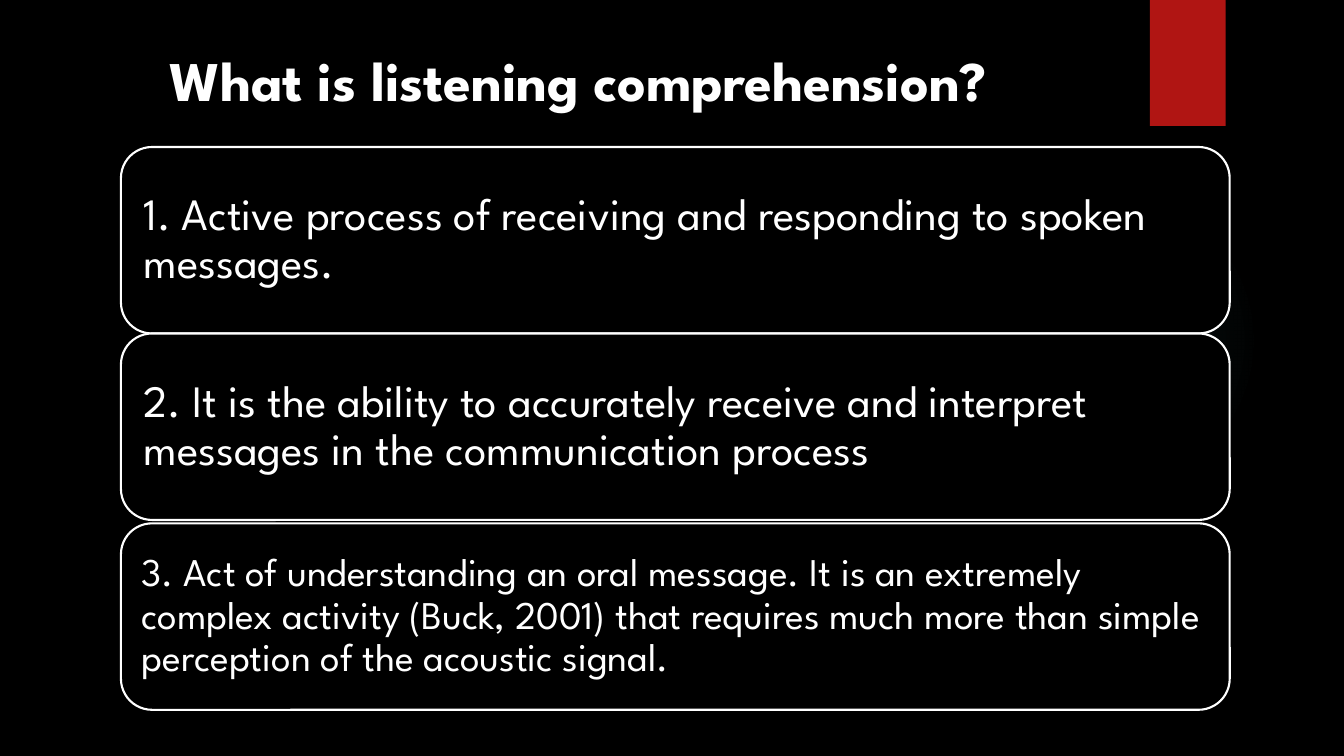
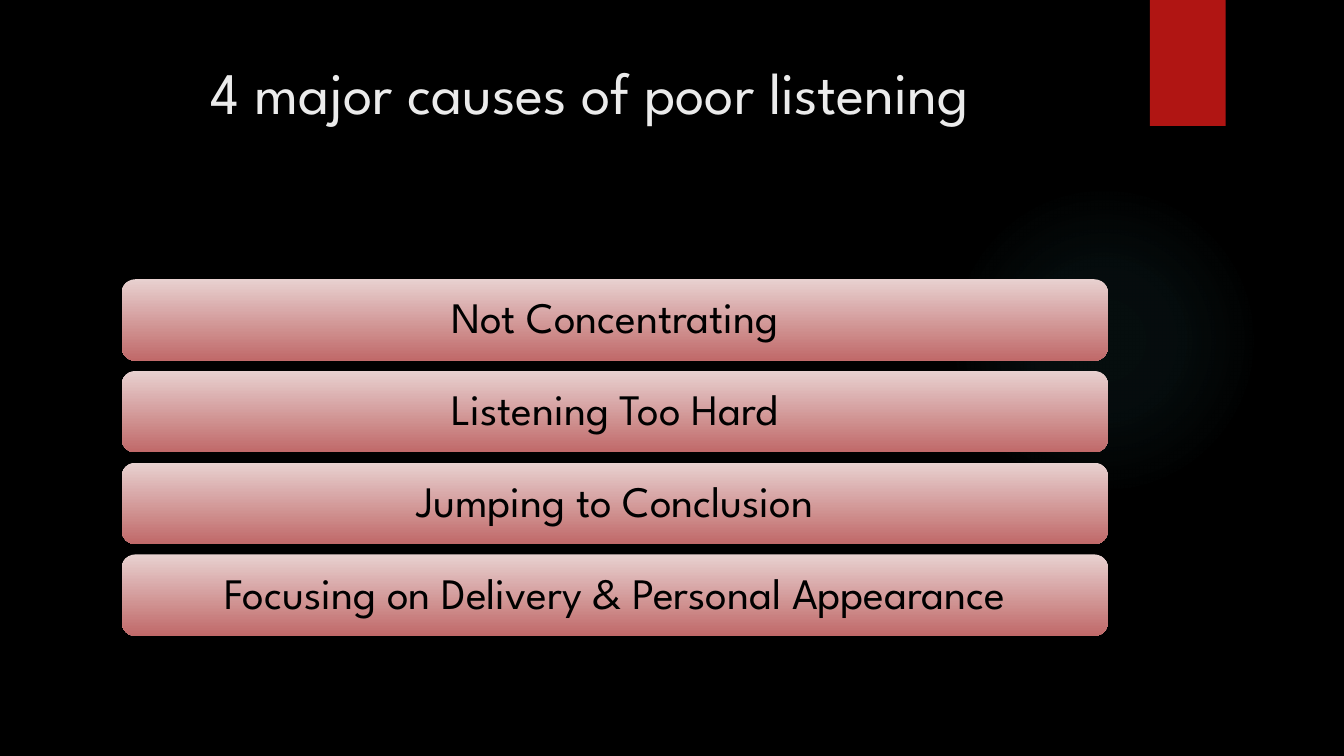
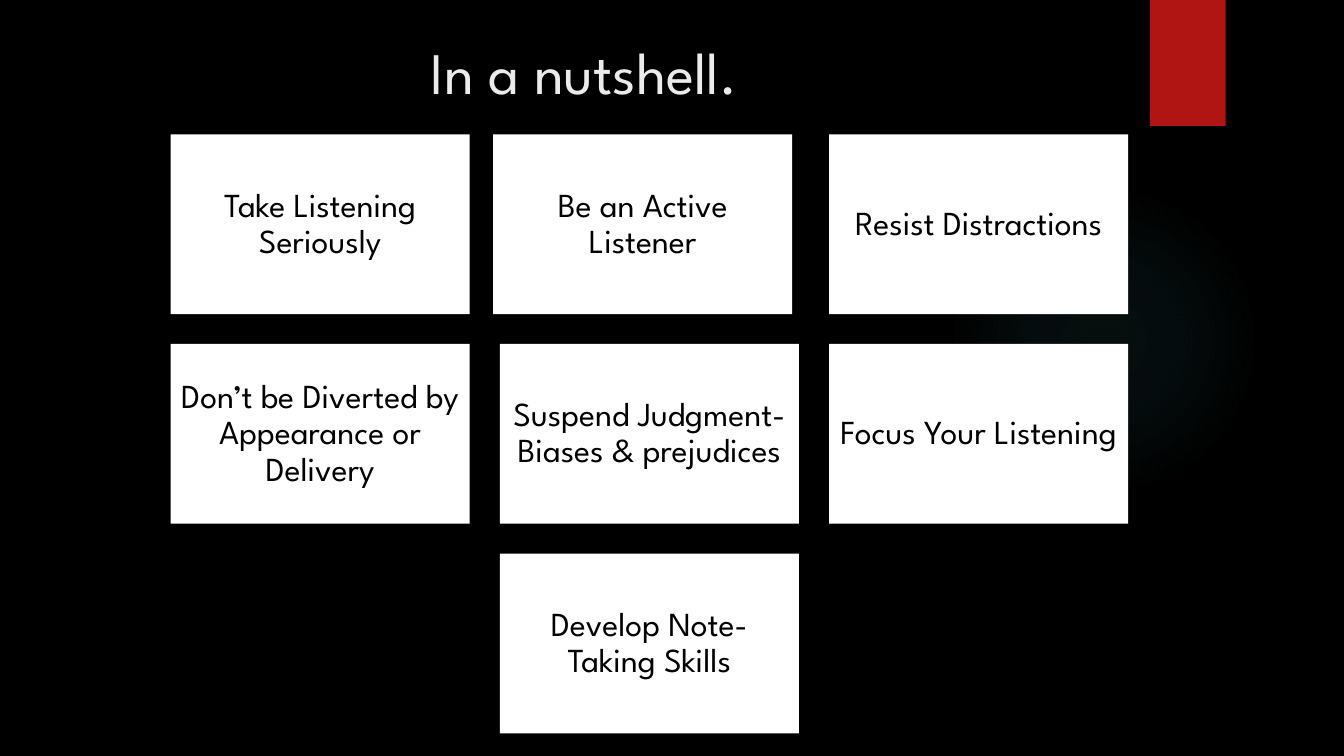
from dataclasses import dataclass

from pptx import Presentation
from pptx import util as u
from pptx.dml.color import RGBColor
from pptx.enum import shapes, text
from pptx.oxml import ns, parse_xml


@dataclass(frozen=True)
class Theme:
    font: str = "League Spartan"
    black: str = "000000"
    white: str = "FFFFFF"
    title: str = "EBEBEB"
    accent: str = "B01513"
    glow: str = "50B9C1"
    bar_top: str = "E8D1D0"
    bar_bottom: str = "C06969"
    title_size: int = 42
    question_size: int = 40
    card_size: int = 32
    long_card_size: int = 28
    bar_size: int = 31
    tile_size: int = 24


class Deck:
    """Draw styled slides on a grid of 160 columns by 90 rows."""

    columns, rows = 160, 90
    cell = u.Inches(7.5) / rows

    def __init__(self, theme):
        self.theme = theme
        self.presentation = Presentation()
        self.presentation.slide_width = self.grid(self.columns)
        self.presentation.slide_height = self.grid(self.rows)
        self.paint(self.presentation.slide_master.background, theme.black)
        self.slide = None

    def grid(self, cells):
        return u.Emu(round(cells * self.cell))

    def box(self, *cells):
        return [self.grid(value) for value in cells]

    def paint(self, target, color):
        target.fill.solid()
        target.fill.fore_color.rgb = RGBColor.from_string(color)

    def new_slide(self):
        layout = self.presentation.slide_layouts[6]
        self.slide = self.presentation.slides.add_slide(layout)
        self.glow(112.9, 22, 37)
        self.paint(self.shape("RECTANGLE", 136.9, 0, 9, 15), self.theme.accent)

    def shape(self, kind, *cells):
        preset = shapes.MSO_SHAPE[kind]
        shape = self.slide.shapes.add_shape(preset, *self.box(*cells))
        shape.shadow.inherit = False
        shape.line.fill.background()
        return shape

    def glow(self, left, top, size):
        shape = self.shape("OVAL", left, top, size, size)
        shape.fill.background()
        stops = "".join(
            f'<a:gs pos="{position * 1000}"><a:srgbClr val="{self.theme.glow}">'
            f'<a:alpha val="{alpha * 1000}"/></a:srgbClr></a:gs>'
            for position, alpha in ((0, 7), (36, 6), (69, 0))
        )
        gradient = parse_xml(
            f'<a:gradFill {ns.nsdecls("a")}><a:gsLst>{stops}</a:gsLst>'
            '<a:path path="circle"><a:fillToRect l="50000" t="50000" '
            'r="50000" b="50000"/></a:path></a:gradFill>'
        )
        properties = shape._element.spPr
        properties.replace(properties.find(ns.qn("a:noFill")), gradient)

    def set_text(self, shape, words, size, color, align="CENTER", bold=False):
        frame = shape.text_frame
        frame.word_wrap = True
        frame.text = words
        paragraph = frame.paragraphs[0]
        paragraph.alignment = text.PP_ALIGN[align]
        font = paragraph.font
        font.name, font.size, font.bold = self.theme.font, u.Pt(size), bold
        font.color.rgb = RGBColor.from_string(color)
        return frame

    def label(self, shape, words, size, color, inset, align="CENTER"):
        frame = self.set_text(shape, words, size, color, align)
        frame.vertical_anchor = text.MSO_ANCHOR.MIDDLE
        frame.paragraphs[0].line_spacing = 0.9
        frame.margin_left = frame.margin_right = self.grid(inset)
        frame.margin_top = frame.margin_bottom = self.grid(inset)

    def title(self, words, cells, size, color, **style):
        textbox = self.slide.shapes.add_textbox(*self.box(*cells))
        self.set_text(textbox, words, size, color, **style)

    def card(self, words, top, size):
        shape = self.shape("ROUNDED_RECTANGLE", 14.4, top, 132, 22.2)
        self.paint(shape, self.theme.black)
        self.paint(shape.line, self.theme.white)
        shape.line.width = u.Pt(1.5)
        self.label(shape, words, size, self.theme.white, size / 20, "LEFT")

    def bar(self, words, index):
        top = 33.24 + index * 10.92
        shape = self.shape("ROUNDED_RECTANGLE", 14.5, top, 117.4, 9.7)
        shape.fill.gradient()
        shape.fill.gradient_angle = 270
        colors = self.theme.bar_top, self.theme.bar_bottom
        for stop, color in zip(shape.fill.gradient_stops, colors):
            stop.color.rgb = RGBColor.from_string(color)
        self.label(shape, words, self.theme.bar_size, self.theme.black, 1.5)

    def tile(self, words, column, row):
        left, top = 20.3 + column * 39.2, 16 + row * 24.95
        shape = self.shape("RECTANGLE", left, top, 35.6, 21.4)
        self.paint(shape, self.theme.white)
        self.label(shape, words, self.theme.tile_size, self.theme.black, 1.2)


def main():
    theme = Theme()
    deck = Deck(theme)

    deck.new_slide()
    for words, top, size in (
        ("1. Active process of receiving and responding to spoken messages.",
         17.5, theme.card_size),
        ("2. It is the ability to accurately receive and interpret messages "
         "in the communication process", 39.7, theme.card_size),
        ("3. Act of understanding an oral message. It is an extremely complex "
         "activity (Buck, 2001) that requires much more than simple "
         "perception of the acoustic signal.", 62.3, theme.long_card_size),
    ):
        deck.card(words, top, size)
    deck.title("What is listening comprehension?", (19, 4.8, 122.9, 9.2),
               theme.question_size, theme.white, align="LEFT", bold=True)

    deck.new_slide()
    deck.title("4 major causes of poor listening", (8.5, 6, 123.5, 18.4),
               theme.title_size, theme.title)
    for index, cause in enumerate((
        "Not Concentrating",
        "Listening Too Hard",
        "Jumping to Conclusion",
        "Focusing on Delivery & Personal Appearance",
    )):
        deck.bar(cause, index)

    deck.new_slide()
    deck.title("In a nutshell.", (7.8, 3.7, 123.5, 8.8),
               theme.title_size, theme.title)
    for advice, column, row in (
        ("Take Listening Seriously", 0, 0),
        ("Be an Active Listener", 0.98, 0),
        ("Resist Distractions", 2, 0),
        ("Don’t be Diverted by Appearance or Delivery", 0, 1),
        ("Suspend Judgment- Biases & prejudices", 1, 1),
        ("Focus Your Listening", 2, 1),
        ("Develop Note-Taking Skills", 1, 2),
    ):
        deck.tile(advice, column, row)

    deck.presentation.save("out.pptx")


if __name__ == "__main__":
    main()
